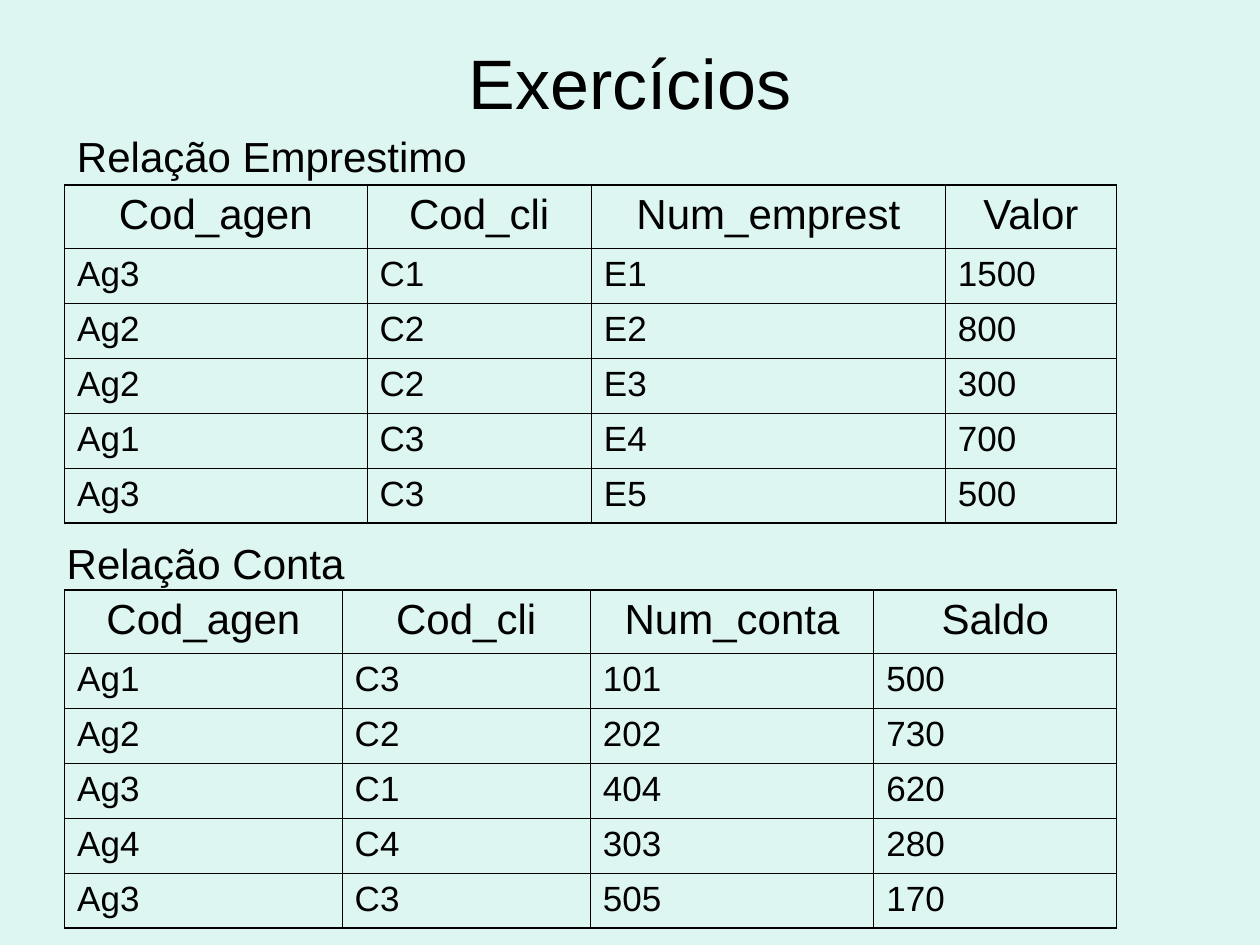
"""Build the exercise slide with the loan and account relations."""
from dataclasses import dataclass

from lxml import etree
from pptx import Presentation
from pptx import util as u
from pptx.dml import color
from pptx.enum import text as t
from pptx.oxml import ns


@dataclass(frozen=True)
class Theme:
    font: str = "Arial"
    ink: str = "000000"
    background: str = "DEF6F1"
    title_size: float = 40
    heading_size: float = 24
    body_size: float = 20
    outer_line: float = 1.08
    inner_line: float = 0.45
    header_height: float = 36.4
    row_height: float = 31.4


THEME = Theme()

LOANS = [
    ("Cod_agen", "Cod_cli", "Num_emprest", "Valor"),
    ("Ag3", "C1", "E1", "1500"),
    ("Ag2", "C2", "E2", "800"),
    ("Ag2", "C2", "E3", "300"),
    ("Ag1", "C3", "E4", "700"),
    ("Ag3", "C3", "E5", "500"),
]
ACCOUNTS = [
    ("Cod_agen", "Cod_cli", "Num_conta", "Saldo"),
    ("Ag1", "C3", "101", "500"),
    ("Ag2", "C2", "202", "730"),
    ("Ag3", "C1", "404", "620"),
    ("Ag4", "C4", "303", "280"),
    ("Ag3", "C3", "505", "170"),
]


def write(frame, content, size=THEME.body_size, align=t.PP_ALIGN.LEFT):
    paragraph = frame.paragraphs[0]
    paragraph.alignment = align
    run = paragraph.add_run()
    run.text = content
    run.font.name = THEME.font
    run.font.size = u.Pt(size)
    run.font.color.rgb = color.RGBColor.from_string(THEME.ink)


def add_title(slide, content, left, top, width, height):
    title = slide.shapes.title
    title.left, title.top = u.Pt(left), u.Pt(top)
    title.width, title.height = u.Pt(width), u.Pt(height)
    frame = title.text_frame
    frame.auto_size = t.MSO_AUTO_SIZE.NONE
    frame.vertical_anchor = t.MSO_ANCHOR.MIDDLE
    write(frame, content, size=THEME.title_size, align=t.PP_ALIGN.CENTER)


def add_heading(slide, content, left, top):
    heading = slide.shapes.add_textbox(u.Pt(left), u.Pt(top), u.Pt(240), u.Pt(36))
    heading.text_frame.word_wrap = True
    write(heading.text_frame, content, size=THEME.heading_size)


def add_border(cell, side, width):
    properties = cell._tc.get_or_add_tcPr()
    line = etree.SubElement(properties, ns.qn(f"a:ln{side}"), w=str(u.Pt(width)))
    fill = etree.SubElement(line, ns.qn("a:solidFill"))
    etree.SubElement(fill, ns.qn("a:srgbClr"), val=THEME.ink)


def add_relation(slide, records, widths, left, top):
    last_row, last_column = len(records) - 1, len(widths) - 1
    heights = [THEME.header_height] + [THEME.row_height] * last_row
    relation = slide.shapes.add_table(
        len(records), len(widths), u.Pt(left), u.Pt(top),
        u.Pt(sum(widths)), u.Pt(sum(heights))).table
    relation.first_row = relation.horz_banding = False
    for column, width in zip(relation.columns, widths):
        column.width = u.Pt(width)
    for row, height in zip(relation.rows, heights):
        row.height = u.Pt(height)
    for r, record in enumerate(records):
        for c, value in enumerate(record):
            cell = relation.cell(r, c)
            outer_sides = {"L": c == 0, "R": c == last_column,
                           "T": r == 0, "B": r == last_row}
            for side, outer in outer_sides.items():
                add_border(cell, side, THEME.outer_line if outer else THEME.inner_line)
            cell.fill.background()
            if r == 0:
                write(cell.text_frame, value, size=THEME.heading_size,
                      align=t.PP_ALIGN.CENTER)
            else:
                write(cell.text_frame, value)


def main():
    deck = Presentation()
    deck.slide_width, deck.slide_height = u.Pt(720), u.Pt(540)
    slide = deck.slides.add_slide(deck.slide_layouts[5])
    backdrop = slide.background.fill
    backdrop.solid()
    backdrop.fore_color.rgb = color.RGBColor.from_string(THEME.background)

    add_title(slide, "Exercícios", 36, 21.6, 648, 49.7)
    add_relation(slide, LOANS, [172.8, 128.2, 202.3, 97.9], 36.9, 105.6)
    add_heading(slide, "Relação Emprestimo", 36.9, 71.3)
    add_relation(slide, ACCOUNTS, [158.6, 141.8, 162, 138.8], 36.9, 337.1)
    add_heading(slide, "Relação Conta", 31, 303.8)
    deck.save("out.pptx")


if __name__ == "__main__":
    main()
